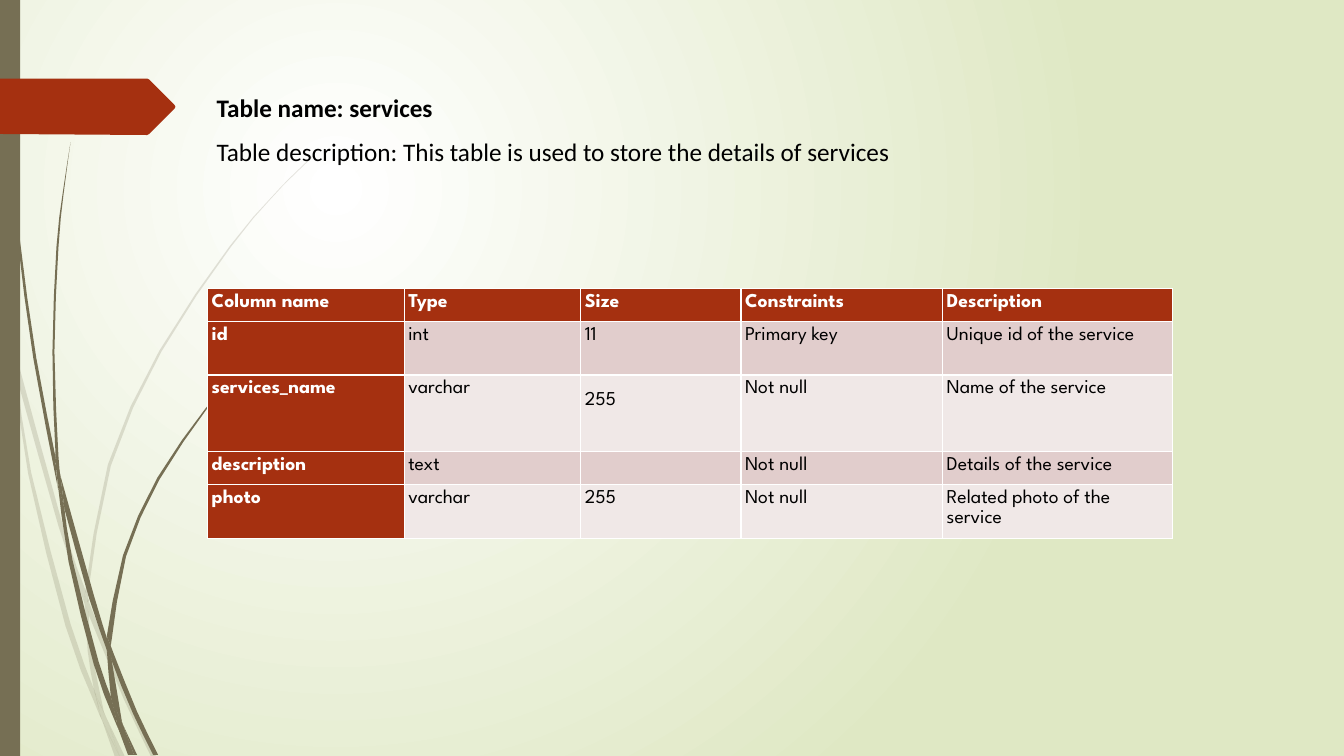
from dataclasses import dataclass
from typing import Any

from lxml.etree import SubElement as Sub
from pptx import Presentation
from pptx.dml.color import RGBColor as Rgb
from pptx.enum.shapes import MSO_SHAPE as Preset
from pptx.oxml.ns import qn
from pptx.util import Emu, Inches, Pt

COLUMNS, ROWS = 1333, 750
CELL = Inches(0.01)
CURVE_STEPS = 2
OLIVE, RUST, WHITE, BLACK = "766F54", "A53010", "FFFFFF", "000000"
BAND_COLOURS = ("E1CDCC", "F0E8E7")

Point = tuple[float, float]


@dataclass(frozen=True)
class Strand:
    outer: str
    inner: str
    opacity: int = 100


@dataclass(frozen=True)
class Field:
    height: int
    values: tuple[str, ...]


PALE_STRANDS = [
    Strand("11,350 9,322 0,282", "0,299 10,344", 20),
    Strand("17,376 58,522 84,599", "85,586 62,520 14,345", 20),
    Strand("88,610 123,694 150,751", "155,751 127,692 92,607 88,596", 20),
    Strand("119,751 124,751", "105,711", 20),
    Strand("11,350 28,470 65,621 92,693 101,714",
           "99,707 93,683 70,619 31,469 17,376", 20),
    Strand("84,599 87,646 93,683 96,692 105,711",
           "103,706 91,646 88,610 88,608", 20),
    Strand("312,153 289,175 268,197 228,244 158,348 107,461 85,584 85,586",
           "88,596 88,584 110,462 160,349 229,245 268,198 290,175 312,154", 20),
    Strand("101,714 114,751", "119,751", 20),
    Strand("88,608 88,610 88,596", "85,586 84,599", 20),
    Strand("93,683 99,707 101,714 119,751", "119,751 105,711 96,692", 20),
]
DARK_STRANDS = [
    Strand("3,0 4,48 7,110 17,233 33,355 56,477 57,481",
           "55,457 55,453 36,355 19,232 8,109 5,48 4,0"),
    Strand("64,505 88,592 106,645", "106,633 93,590 60,472"),
    Strand("110,641 111,656 132,708 152,749", "157,749 136,706 113,649"),
    Strand("57,477 68,557 93,659 111,708 117,722",
           "116,717 110,691 98,657 72,556 64,505"),
    Strand("70,141 62,193 56,245 52,349 55,449 60,472",
           "60,472 58,453 54,349 58,245 63,193 70,141"),
    Strand("122,719 133,749", "136,749"),
    Strand("55,449 55,453 57,477 64,505", "60,472"),
    Strand("260,344 245,358 231,373 204,405 156,474 122,551 106,631",
           "110,641 111,633 125,552 158,476 205,406 231,374 245,359 261,344"),
    Strand("117,722 127,749", "131,749"),
    Strand("106,645 110,691 116,706 122,719", "121,716 111,656 109,651"),
    Strand("106,631 106,645 109,651 111,656", "110,641"),
    Strand("110,691 116,717 117,722 130,749", "133,749 122,719 116,706"),
]
TAG = "0,78 146,78 148,79 173,104 174,106 173,108 148,133 146,134 0,133"

FIELD_WIDTHS = (195, 175, 159, 200, 228)
FIELDS = [
    Field(33, ("Column name", "Type", "Size", "Constraints", "Description")),
    Field(53, ("id", "int", "11", "Primary key", "Unique id of the service")),
    Field(76, ("services_name", "varchar", "255", "Not null", "Name of the service")),
    Field(33, ("description", "text", "", "Not null", "Details of the service")),
    Field(53, ("photo", "varchar", "255", "Not null", "Related photo of the service")),
]
LOWERED_SIZE = (2, 2)

CELL_FORMAT = {"margin_left": 4 * CELL, "margin_top": 4 * CELL,
               "margin_right": 6 * CELL, "margin_bottom": 0}
CELL_FONT = {"name": "League Spartan", "size": Pt(14)}
HEADING_FONT = {"name": "Calibri", "size": Pt(18)}


def apply(target: Any, formats: dict[str, Any]) -> None:
    for attribute, value in formats.items():
        setattr(target, attribute, value)


def paint(fill: Any, colour: str) -> None:
    fill.solid()
    fill.fore_color.rgb = Rgb.from_string(colour)


def finish(shape: Any, colour: str, opacity: int = 100) -> None:
    shape.shadow.inherit = False
    shape.line.fill.background()
    paint(shape.fill, colour)
    if opacity < 100:
        tint = shape._element.spPr.find(f"{qn('a:solidFill')}/{qn('a:srgbClr')}")
        Sub(tint, qn("a:alpha"), val=str(opacity * 1000))


def points(text: str) -> list[Point]:
    return [tuple(map(float, pair.split(","))) for pair in text.split()]


def smooth(knots: list[Point]) -> list[Point]:
    padded = [knots[0], *knots, knots[-1]]
    curve = [knots[0]]
    for a, b, c, d in zip(padded, padded[1:], padded[2:], padded[3:]):
        for step in range(1, CURVE_STEPS + 1):
            t = step / CURVE_STEPS
            curve.append(tuple(
                q + t / 2 * (r - p + t * (2 * p - 5 * q + 4 * r - s
                                          + t * (3 * (q - r) + s - p)))
                for p, q, r, s in zip(a, b, c, d)))
    return curve


def draw_outline(slide: Any, outline: list[Point], colour: str, opacity: int = 100) -> None:
    start, *rest = [(round(x * CELL), round(y * CELL)) for x, y in outline]
    builder = slide.shapes.build_freeform(*start)
    builder.add_line_segments(rest, close=True)
    finish(builder.convert_to_shape(), colour, opacity)


def draw_background(slide: Any) -> None:
    fill = slide.background.fill
    fill.gradient()
    for position, (stop, colour) in enumerate(zip(fill.gradient_stops, (WHITE, "DFE8C4"))):
        stop.color.rgb = Rgb.from_string(colour)
        stop.position = position
    gradient = next(slide._element.iter(qn("a:gradFill")))
    gradient.remove(gradient.find(qn("a:lin")))
    glow = Sub(gradient, qn("a:path"), path="circle")
    Sub(glow, qn("a:fillToRect"), l="50000", t="50000", r="100000", b="100000")


def write(paragraph: Any, text: str, font: dict[str, Any], colour: str, bold: bool) -> None:
    paragraph.line_spacing = 1.07
    run = paragraph.add_run()
    run.text = text
    apply(run.font, {**font, "bold": bold})
    run.font.color.rgb = Rgb.from_string(colour)


def draw_fields(slide: Any) -> None:
    height = sum(field.height for field in FIELDS)
    table = slide.shapes.add_table(
        len(FIELDS), len(FIELD_WIDTHS), 206 * CELL, 286 * CELL,
        sum(FIELD_WIDTHS) * CELL, height * CELL).table
    table.first_col = True
    for column, width in zip(table.columns, FIELD_WIDTHS):
        column.width = Emu(width * CELL)
    for r, field in enumerate(FIELDS):
        table.rows[r].height = Emu(field.height * CELL)
        for c, value in enumerate(field.values):
            cell = table.cell(r, c)
            heading = r == 0 or c == 0
            apply(cell, CELL_FORMAT)
            if (r, c) == LOWERED_SIZE:
                cell.margin_top = 15 * CELL
            paint(cell.fill, RUST if heading else BAND_COLOURS[(r - 1) % 2])
            write(cell.text_frame.paragraphs[0], value, CELL_FONT,
                  WHITE if heading else BLACK, heading)


def draw_heading(slide: Any) -> None:
    frame = slide.shapes.add_textbox(205 * CELL, 85 * CELL, 877 * CELL, 85 * CELL).text_frame
    frame.word_wrap = True
    title = frame.paragraphs[0]
    write(title, "Table name: services", HEADING_FONT, BLACK, True)
    title.space_after = Pt(8)
    write(frame.add_paragraph(),
          "Table description: This table is used to store the details of services",
          HEADING_FONT, BLACK, False)


def main() -> None:
    deck = Presentation()
    apply(deck, {"slide_width": COLUMNS * CELL, "slide_height": ROWS * CELL})
    slide = deck.slides.add_slide(deck.slide_layouts[6])
    draw_background(slide)
    for strand in PALE_STRANDS + DARK_STRANDS:
        outline = smooth(points(strand.outer)) + smooth(points(strand.inner))
        draw_outline(slide, outline, OLIVE, strand.opacity)
    finish(slide.shapes.add_shape(Preset.RECTANGLE, 0, 0, 20 * CELL, ROWS * CELL), OLIVE)
    draw_outline(slide, points(TAG), RUST)
    draw_fields(slide)
    draw_heading(slide)
    deck.save("out.pptx")


if __name__ == "__main__":
    main()
